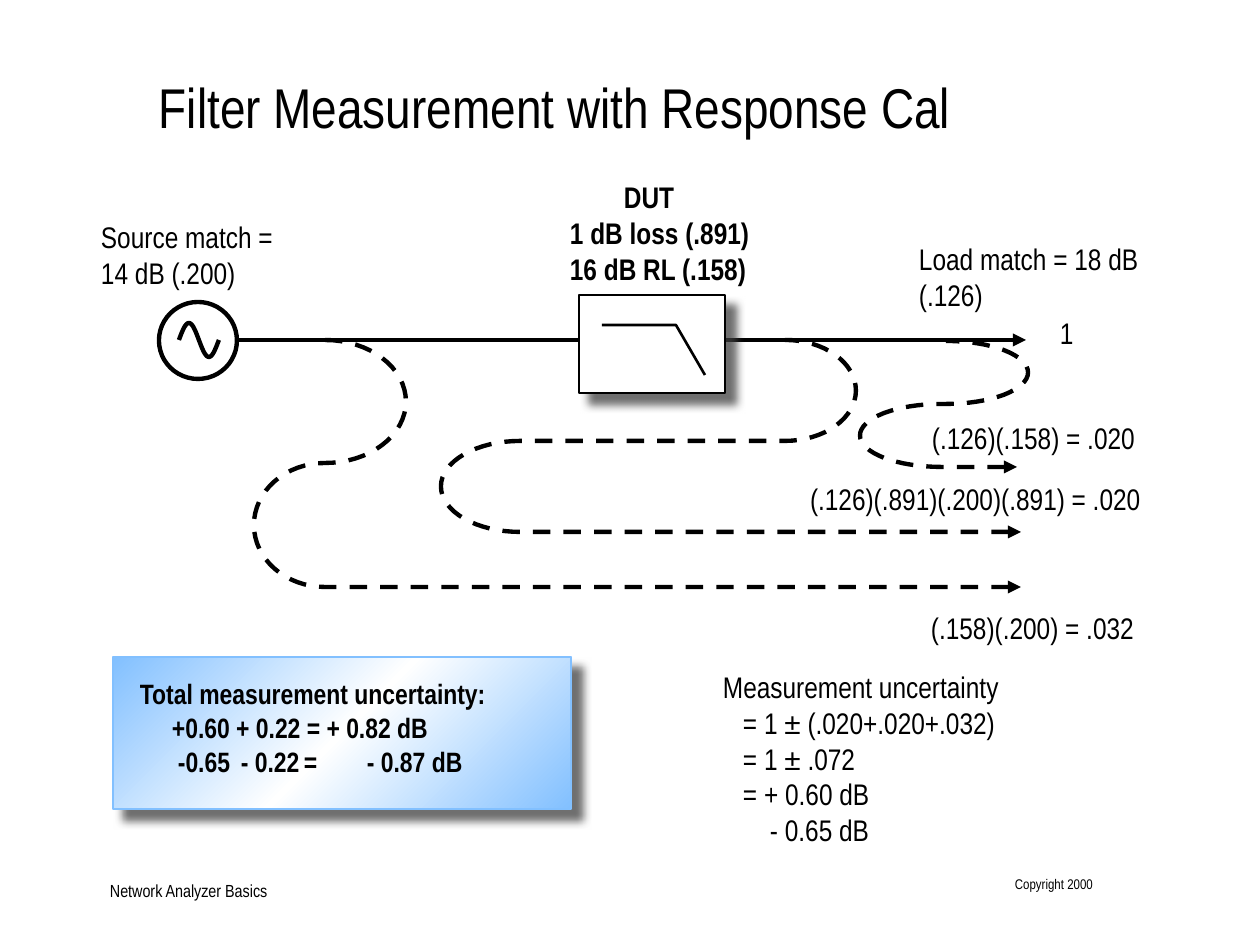
from copy import deepcopy
from math import cos, pi, sin

from lxml.etree import SubElement
from pptx import Presentation
from pptx.dml.color import RGBColor
from pptx.enum.dml import MSO_LINE
from pptx.enum.shapes import MSO_CONNECTOR, MSO_SHAPE
from pptx.enum.text import MSO_ANCHOR, PP_ALIGN
from pptx.oxml.ns import qn
from pptx.util import Pt

PX = 914400 / 126
BLACK, WHITE, BLUE, GREY = "000000", "FFFFFF", "82C0FF", "404040"
FONT = {"name": "Arial Narrow", "size": Pt(17), "bold": False}
FRAME = {"margin_left": 0, "margin_right": 0, "margin_top": 0,
         "margin_bottom": 0, "word_wrap": True}
SHADE = {"blurRad": Pt(5), "dist": Pt(8.5), "dir": 45 * 60000,
         "algn": "ctr", "rotWithShape": 0}

LABELS = [
    ((101, 219, 193, 74), ["Source match = 14 dB (.200)"]),
    ((919, 241, 229, 74), ["Load match = 18 dB (.126)"]),
    ((1060, 315, 19, 38), ["1"]),
    ((932, 420, 275, 38), ["(.126)(.158) = .020"]),
    ((931, 610, 275, 38), ["(.158)(.200) = .032"]),
    ((810, 481, 446, 38), ["(.126)(.891)(.200)(.891) = .020"]),
    ((723, 669, 417, 183), ["Measurement uncertainty", (20, "= 1 ± (.020+.020+.032)"),
                            (20, "= 1 ± .072"), (20, "= + 0.60 dB"),
                            (47, "- 0.65 dB")]),
]

# Each path: end x, left bend (x, width), right bend (x, width), three levels
PATHS = [
    (1021, (520, 79), (785, 71), (532, 441, 340)),
    (1021, (325, 71), (325, 81), (587, 463, 340)),
    (1017, (941, 81), (946, 82), (467, 404, 341)),
]


def emu(*nums):
    """Turn px into whole EMU."""
    return [round(num * PX) for num in nums]


def rgb(code):
    """Turn a hex string into a colour."""
    return RGBColor.from_string(code)


def apply(item, values):
    """Set each named value on the item."""
    for name, value in values.items():
        setattr(item, name, value)


def ink(line, width=2.5, tint=BLACK):
    """Give a line its colour and width."""
    line.color.rgb = rgb(tint)
    line.width = Pt(width)


def arrow(shape, end):
    """Put a triangle on the named end of a line."""
    SubElement(shape.line._get_or_add_ln(), qn(f"a:{end}"), type="triangle")


def text(shapes, box, lines, anchor=MSO_ANCHOR.TOP, align=None, tabs=(), **style):
    """Add a text box whose lines may carry an indent."""
    frame = shapes.add_textbox(*emu(*box)).text_frame
    apply(frame, FRAME | {"vertical_anchor": anchor})
    for i, line in enumerate(lines):
        indent, words = line if isinstance(line, tuple) else (0, line)
        para = frame.paragraphs[0] if i == 0 else frame.add_paragraph()
        if align:
            para.alignment = align
        props = para._p.get_or_add_pPr()
        if indent:
            props.set("marL", str(emu(indent)[0]))
            props.set("indent", "0")
        if "\t" in words:
            stops = SubElement(props, qn("a:tabLst"))
            for stop in emu(*tabs):
                SubElement(stops, qn("a:tab"), pos=str(stop), algn="l")
        run = para.add_run()
        run.text = words
        apply(run.font, FONT | style)
        run.font.color.rgb = rgb(BLACK)


def trace(shapes, points, width=2.5):
    """Draw an open outline through px points."""
    first, *rest = [emu(*point) for point in points]
    build = shapes.build_freeform(*first, scale=1.0)
    build.add_line_segments(rest, close=False)
    shape = build.convert_to_shape()
    shape.shadow.inherit = False
    shape.fill.background()
    ink(shape.line, width)
    return shape


def bend(x, low, high, reach):
    """List the points of a half oval from low to high."""
    mid, rise = (low + high) / 2, (low - high) / 2
    turns = [pi * i / 32 for i in range(33)]
    return [(x + reach * sin(turn), mid + rise * cos(turn)) for turn in turns]


def echo(shapes, end, left, right, levels):
    """Draw a dashed path that bends back twice."""
    low, mid, top = levels
    points = [(end, low), *bend(left[0], low, mid, -left[1]),
              *bend(right[0], mid, top, right[1])]
    shape = trace(shapes, points)
    shape.line.dash_style = MSO_LINE.DASH
    arrow(shape, "headEnd")


def solid(shapes, kind, box, width, tint=BLACK):
    """Add a white shape with a plain outline."""
    shape = shapes.add_shape(kind, *emu(*box))
    shape.shadow.inherit = False
    shape.fill.solid()
    shape.fill.fore_color.rgb = rgb(WHITE)
    ink(shape.line, width, tint)
    return shape


def panel(shapes, box, tint=BLACK):
    """Add a square-cornered panel with a soft shadow."""
    shape = solid(shapes, MSO_SHAPE.ROUNDED_RECTANGLE, box, 1.5, tint)
    shape.adjustments[0] = 0
    effects = shape._element.spPr.find(qn("a:effectLst"))
    values = {name: str(value) for name, value in SHADE.items()}
    shade = SubElement(effects, qn("a:outerShdw"), values)
    tone = SubElement(shade, qn("a:srgbClr"), val=GREY)
    SubElement(tone, qn("a:alpha"), val="75000")
    return shape


def blend(shape, tints):
    """Fill a shape with an even slanted gradient."""
    shape.fill.gradient()
    shape.fill.gradient_angle = 315
    stops = shape._element.spPr.find(".//" + qn("a:gsLst"))
    stops.insert(1, deepcopy(stops[0]))
    for i, (stop, tint) in enumerate(zip(shape.fill.gradient_stops, tints)):
        stop.position = i / (len(tints) - 1)
        stop.color.rgb = rgb(tint)


def source(shapes):
    """Draw the signal source with its sine wave."""
    solid(shapes, MSO_SHAPE.OVAL, (159, 302, 78, 77), 2.5)
    trace(shapes, [(179 + i, 340 - 17 * sin(pi * i / 20)) for i in range(41)])


def signal(shapes):
    """Draw the main signal arrow."""
    line = shapes.add_connector(MSO_CONNECTOR.STRAIGHT, *emu(239, 340, 1026, 340))
    ink(line.line)
    arrow(line, "tailEnd")
    SubElement(line._element.spPr, qn("a:effectLst"))


def device(shapes):
    """Draw the filter under test."""
    panel(shapes, (579, 295, 146, 98))
    trace(shapes, [(602, 325), (676, 325), (705, 375)], 1.5)


def total(shapes):
    """Draw the panel with the total result."""
    blend(panel(shapes, (113, 657, 458, 152), BLUE), (BLUE, WHITE, BLUE))
    lines = ["Total measurement uncertainty:", (32, "+0.60 + 0.22 = + 0.82 dB"),
             (38, "-0.65\t- 0.22\t=\t- 0.87 dB")]
    text(shapes, (140, 677, 402, 122), lines, tabs=(104, 181, 207),
         size=Pt(16), bold=True)


def main():
    """Build the slide and save it."""
    deck = Presentation()
    deck.slide_width, deck.slide_height = emu(1260, 945)
    shapes = deck.slides.add_slide(deck.slide_layouts[6]).shapes
    text(shapes, (110, 878, 336, 23), ["Network Analyzer Basics"],
         MSO_ANCHOR.BOTTOM, size=Pt(10))
    text(shapes, (1012, 876, 81, 32), ["Copyright 2000"],
         align=PP_ALIGN.RIGHT, size=Pt(8))
    text(shapes, (159, 73, 1182, 64), ["Filter Measurement with Response Cal"],
         size=Pt(32))
    source(shapes.add_group_shape().shapes)
    signal(shapes)
    device(shapes.add_group_shape().shapes)
    for route in PATHS:
        echo(shapes, *route)
    for box, lines in LABELS:
        text(shapes, box, lines)
    text(shapes, (570, 179, 242, 111),
         [(54, "DUT"), "1 dB loss (.891)", "16 dB RL (.158)"], bold=True)
    total(shapes.add_group_shape().shapes)
    deck.save("out.pptx")


if __name__ == "__main__":
    main()
